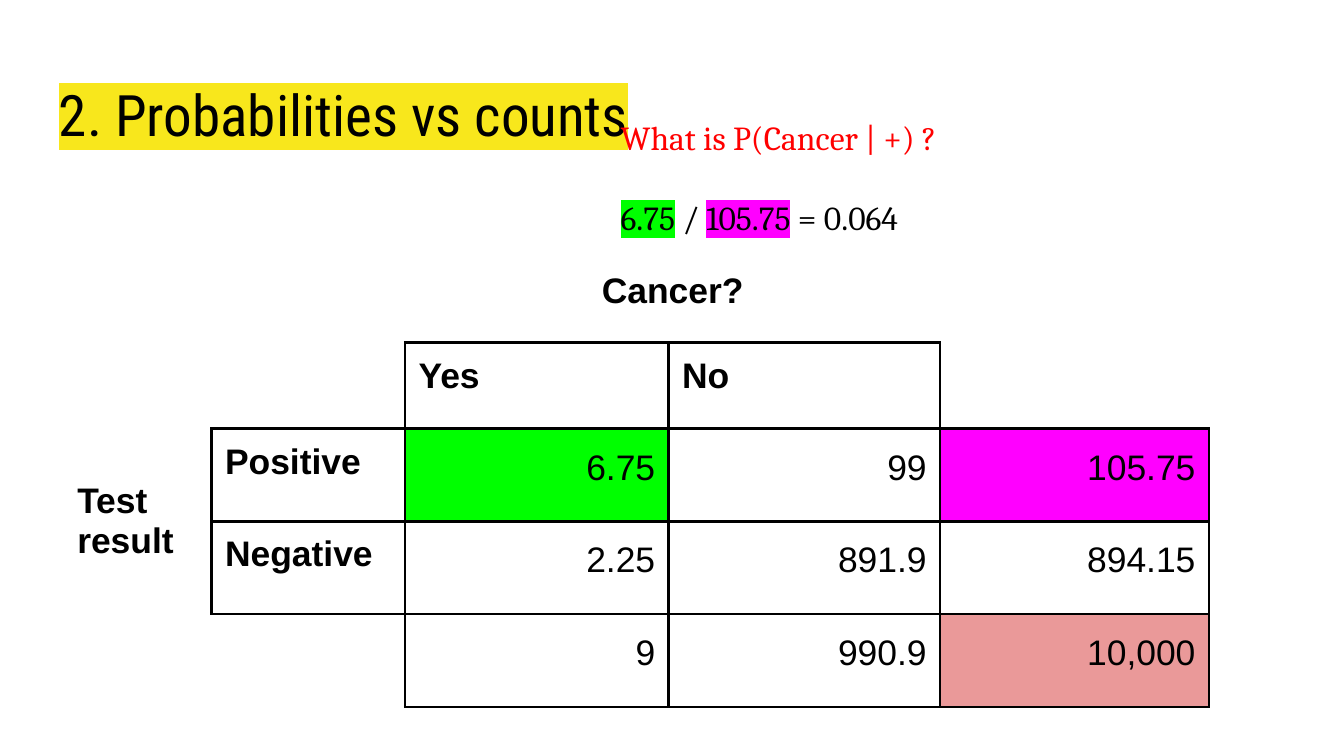
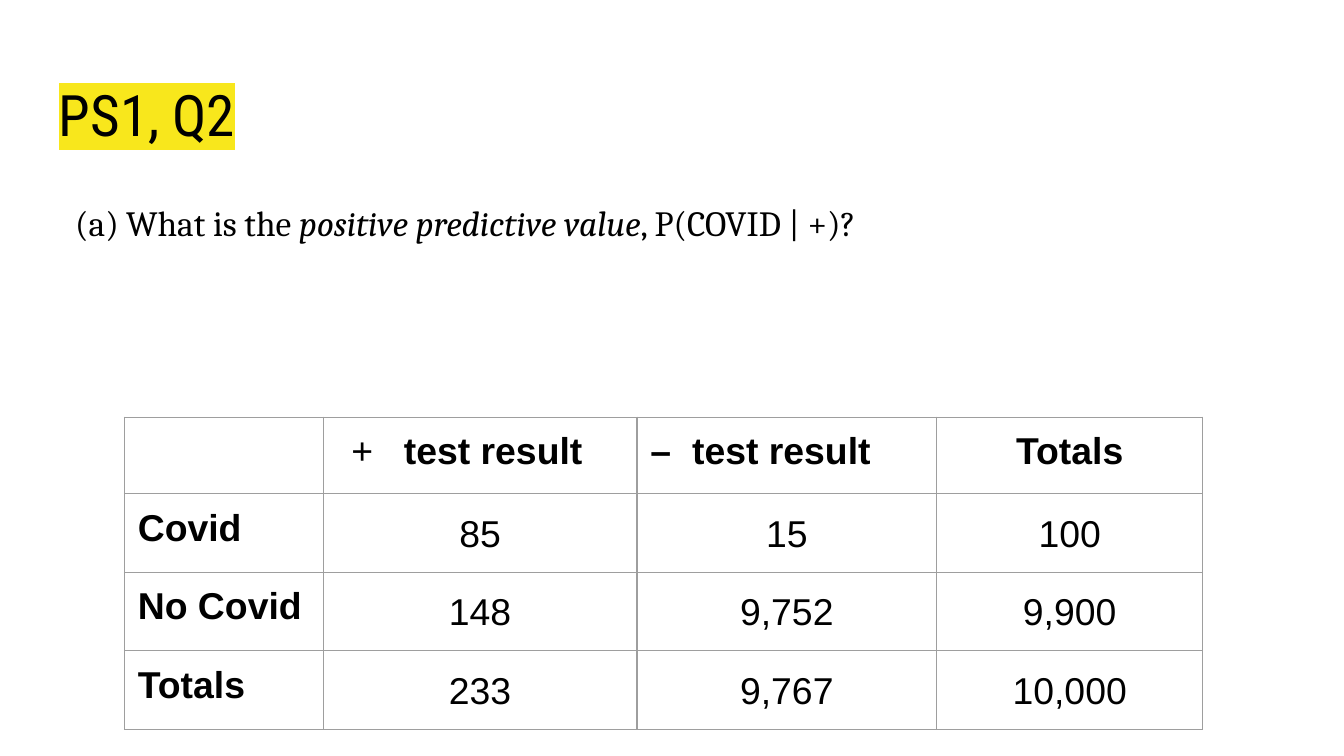
"""Two slides on reading test results from probability and count tables."""
from dataclasses import dataclass, field
from typing import Any, Optional

from lxml import etree
from pptx import Presentation
from pptx import util as u
from pptx.dml.color import RGBColor
from pptx.enum import text
from pptx.oxml.ns import qn

SCALE = 4572
INSET = 20
COLORS = {
    "ink": "000000",
    "red": "FF0000",
    "yellow": "F8E71C",
    "green": "00FF00",
    "magenta": "FF00FF",
    "rose": "EA9999",
    "gray": "9E9E9E",
}
TITLE_FONT, BODY_FONT, TABLE_FONT = "Roboto Condensed", "Cambria", "Arial"
LEFT, CENTER, RIGHT = text.PP_ALIGN.LEFT, text.PP_ALIGN.CENTER, text.PP_ALIGN.RIGHT


@dataclass(frozen=True)
class Run:
    """A stretch of text with its own emphasis."""
    words: str
    highlight: Optional[str] = None
    italic: bool = False


@dataclass(frozen=True)
class Para:
    """A paragraph whose runs share one font."""
    runs: tuple[Run, ...]
    size: float
    font: str = TABLE_FONT
    color: str = "ink"
    bold: bool = False
    align: Any = LEFT
    spacing: float = 1.0
    before: int = 0
    margin: int = 0
    hang: int = 0
    bullet: Optional[tuple[str, str, str]] = None
    tab: int = 0


@dataclass(frozen=True)
class Box:
    """A place on the slide in px."""
    left: int
    top: int
    width: int
    height: int


@dataclass(frozen=True)
class Grid:
    """A table with its sizes, wording and borders."""
    left: int
    top: int
    columns: list[int]
    rows: list[int]
    words: list[list[str]]
    size: int
    value_align: Any
    border: str
    border_width: float
    open_cells: set[tuple[int, int]] = field(default_factory=set)
    fills: dict[tuple[int, int], str] = field(default_factory=dict)
    special: dict[tuple[int, int], Para] = field(default_factory=dict)
    merges: list[tuple[int, int, int, int]] = field(default_factory=list)
    middle: set[tuple[int, int]] = field(default_factory=set)


def px(length: int) -> u.Emu:
    """Turn px into EMU."""
    return u.Emu(length * SCALE)


def rgb(name: str) -> RGBColor:
    """Look up a named colour."""
    return RGBColor.from_string(COLORS[name])


def add_color(parent: Any, tag: str, name: str) -> None:
    """Append a colour element holding a named colour."""
    holder = etree.SubElement(parent, qn(tag))
    etree.SubElement(holder, qn("a:srgbClr"), val=COLORS[name])


def write(paragraph: Any, para: Para) -> None:
    """Fill one paragraph."""
    props = paragraph._p.get_or_add_pPr()
    if para.margin:
        props.set("marL", str(px(para.margin)))
        props.set("indent", str(px(para.hang)))
    if para.bullet:
        tag, attribute, value = para.bullet
        add_color(props, "a:buClr", para.color)
        etree.SubElement(props, qn("a:buFont"), typeface=para.font)
        etree.SubElement(props, qn(tag), {attribute: value})
    if para.tab:
        stops = etree.SubElement(props, qn("a:tabLst"))
        etree.SubElement(stops, qn("a:tab"), pos=str(px(para.tab)), algn="l")
    paragraph.alignment = para.align
    paragraph.line_spacing = para.spacing
    if para.before:
        paragraph.space_before = u.Pt(para.before)
    font = paragraph.font
    font.name, font.size, font.bold = para.font, u.Pt(para.size), para.bold
    font.color.rgb = rgb(para.color)
    for piece in para.runs:
        run = paragraph.add_run()
        run.text = piece.words
        if piece.italic:
            run.font.italic = True
        if piece.highlight:
            add_color(run._r.get_or_add_rPr(), "a:highlight", piece.highlight)


def add_text(slide: Any, box: Box, paras: list[Para], grow: bool = False) -> None:
    """Place a text box."""
    frame = slide.shapes.add_textbox(
        px(box.left), px(box.top), px(box.width), px(box.height)).text_frame
    frame.word_wrap = True
    frame.auto_size = (text.MSO_AUTO_SIZE.SHAPE_TO_FIT_TEXT if grow
                       else text.MSO_AUTO_SIZE.NONE)
    frame.margin_left = frame.margin_right = px(INSET)
    frame.margin_top = frame.margin_bottom = px(INSET)
    for index, para in enumerate(paras):
        write(frame.add_paragraph() if index else frame.paragraphs[0], para)


def add_title(slide: Any, words: str) -> None:
    """Place the highlighted slide title."""
    add_text(slide, Box(68, 98, 1864, 126),
             [Para((Run(words, "yellow"),), 30.6, TITLE_FONT)])


def set_borders(cell: Any, grid: Grid, row: int, column: int) -> None:
    """Draw each side that touches a closed cell."""
    closed = {(r, c) for r in range(len(grid.rows))
              for c in range(len(grid.columns))} - grid.open_cells
    sides = {"a:lnL": (row, column - 1), "a:lnR": (row, column + 1),
             "a:lnT": (row - 1, column), "a:lnB": (row + 1, column)}
    for tag, neighbour in sides.items():
        line = etree.SubElement(cell._tc.get_or_add_tcPr(), qn(tag),
                                w=str(u.Pt(grid.border_width)))
        if closed & {(row, column), neighbour}:
            add_color(line, "a:solidFill", grid.border)
        else:
            etree.SubElement(line, qn("a:noFill"))


def cell_para(grid: Grid, row: int, column: int) -> Para:
    """Style a label in bold and a value in plain type."""
    words = grid.words[row][column]
    if (row, column) in grid.special:
        return grid.special[row, column]
    if words[:1].isdigit():
        return Para((Run(words),), grid.size, align=grid.value_align, spacing=1.15)
    return Para((Run(words),) if words else (), grid.size, bold=True)


def add_grid(slide: Any, grid: Grid) -> None:
    """Place a table."""
    table = slide.shapes.add_table(
        len(grid.rows), len(grid.columns), px(grid.left), px(grid.top),
        px(sum(grid.columns)), px(sum(grid.rows))).table
    table.first_row = table.horz_banding = False
    for column, width in zip(table.columns, grid.columns):
        column.width = px(width)
    for row, height in zip(table.rows, grid.rows):
        row.height = px(height)
    for top, left, bottom, right in grid.merges:
        table.cell(top, left).merge(table.cell(bottom, right))
    for row in range(len(grid.rows)):
        for column in range(len(grid.columns)):
            cell = table.cell(row, column)
            cell.margin_left = cell.margin_right = px(INSET)
            cell.margin_top = cell.margin_bottom = px(INSET)
            if (row, column) in grid.middle:
                cell.vertical_anchor = text.MSO_ANCHOR.MIDDLE
            set_borders(cell, grid, row, column)
            if (row, column) in grid.fills:
                cell.fill.solid()
                cell.fill.fore_color.rgb = rgb(grid.fills[row, column])
            else:
                cell.fill.background()
            write(cell.text_frame.paragraphs[0], cell_para(grid, row, column))


CANCER = Grid(
    95, 384, [220, 288, 392, 404, 400], [126, 128, 138, 138, 138],
    [["", "", "Cancer?", "", ""],
     ["", "", "Yes", "No", ""],
     ["Test result", "Positive", "6.75", "99", "105.75"],
     ["", "Negative", "2.25", "891.9", "894.15"],
     ["", "", "9", "990.9", "10,000"]],
    19, RIGHT, "ink", 1.5,
    open_cells={(0, c) for c in range(5)} | {(r, 0) for r in range(5)}
    | {(1, 1), (1, 4), (4, 1)},
    fills={(2, 2): "green", (2, 4): "magenta", (4, 4): "rose"},
    special={(0, 2): Para((Run("Cancer?"),), 19, bold=True, align=CENTER)},
    merges=[(0, 2, 0, 3), (2, 0, 3, 0)],
    middle={(2, 0)},
)
COVID = Grid(
    185, 621, [296, 467, 446, 396], [114, 112, 114, 112],
    [["", "test result", "–\ttest result", "Totals"],
     ["Covid", "85", "15", "100"],
     ["No Covid", "148", "9,752", "9,900"],
     ["Totals", "233", "9,767", "10,000"]],
    20, CENTER, "gray", 0.75,
    special={
        (0, 1): Para((Run("test result"),), 20, bold=True, margin=100, hang=-78,
                     bullet=("a:buChar", "char", "+")),
        (0, 2): Para((Run("–\ttest result"),), 20, bold=True, tab=62),
        (0, 3): Para((Run("Totals"),), 20, bold=True, align=CENTER),
    },
)


def build_counts(slide: Any) -> None:
    """Draw the slide on probabilities and counts."""
    add_title(slide, "2. Probabilities vs counts")
    add_grid(slide, CANCER)
    answer = (Run("6.75", "green"), Run(" / "), Run("105.75", "magenta"), Run(" = 0.064"))
    add_text(slide, Box(904, 154, 1024, 222), [
        Para((Run("What is P(Cancer | +) ?"),), 18, BODY_FONT, "red"),
        Para(answer, 18, BODY_FONT, before=21),
    ], grow=True)


def build_question(slide: Any) -> None:
    """Draw the slide on the positive predictive value."""
    question = (Run("What is the "), Run("positive predictive value", italic=True),
                Run(", P(COVID | +)?"))
    add_text(slide, Box(68, 270, 1864, 796), [
        Para(question, 19, BODY_FONT, spacing=1.15, margin=100, hang=-76,
             bullet=("a:buAutoNum", "type", "alphaLcParenBoth")),
    ])
    add_title(slide, "PS1, Q2")
    add_grid(slide, COVID)


def main() -> None:
    """Build and save the deck."""
    deck = Presentation()
    deck.slide_width, deck.slide_height = px(2000), px(1125)
    for build in (build_counts, build_question):
        build(deck.slides.add_slide(deck.slide_layouts[6]))
    deck.save("out.pptx")


if __name__ == "__main__":
    main()
